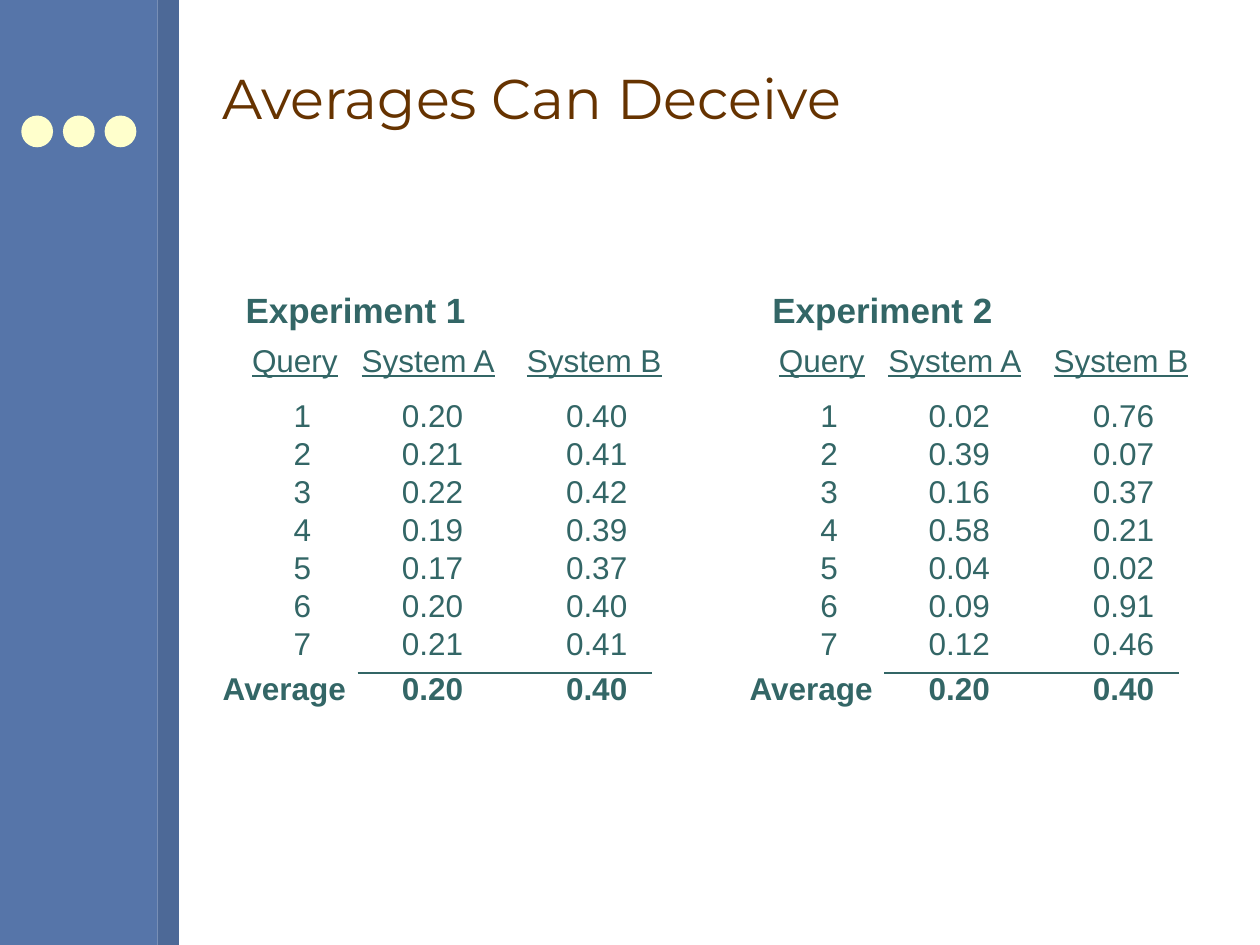
from dataclasses import dataclass
from typing import NamedTuple

from lxml.etree import SubElement
from pptx import Presentation
from pptx.dml.color import RGBColor
from pptx.enum.shapes import MSO_CONNECTOR as Connector, MSO_SHAPE as Shape
from pptx.enum.text import MSO_ANCHOR as Anchor
from pptx.oxml.ns import qn
from pptx.util import Cm, Pt


@dataclass(frozen=True)
class Theme:
    sidebar: str = "5675A9"
    stripe: str = "4D6997"
    dot: str = "FFFFCC"
    title: str = "663300"
    body: str = "336666"
    title_font: str = "Montserrat"
    body_font: str = "Arial"
    title_size: int = 32
    heading_size: int = 20
    body_size: int = 18
    rule_width: float = 1


class Box(NamedTuple):
    left: float
    top: float
    width: float
    height: float

    def lengths(self):
        return [Cm(value) for value in self]


class RowStyle(NamedTuple):
    height: float
    indents: tuple
    bold: bool = False
    underline: bool = False


THEME = Theme()
COLUMN_WIDTHS = (2.97, 3.18, 3.23)
HEADER = RowStyle(1.27, (0.84, 0.08, 0.23), underline=True)
VALUE = RowStyle(0.76, (1.68, 0.89, 1.02))
AVERAGE = RowStyle(1.07, (0.25, 0.89, 1.02), bold=True)

EXPERIMENTS = {
    "Experiment 1": (
        ("0.20", "0.21", "0.22", "0.19", "0.17", "0.20", "0.21"),
        ("0.40", "0.41", "0.42", "0.39", "0.37", "0.40", "0.41"),
    ),
    "Experiment 2": (
        ("0.02", "0.39", "0.16", "0.58", "0.04", "0.09", "0.12"),
        ("0.76", "0.07", "0.37", "0.21", "0.02", "0.91", "0.46"),
    ),
}
AVERAGES = ("Average", "0.20", "0.40")


def write(text_frame, text, font, size, color, bold=False, underline=False):
    text_frame.text = text
    for span in text_frame.paragraphs[0].runs:
        span.font.name = font
        span.font.size = Pt(size)
        span.font.color.rgb = RGBColor.from_string(color)
        span.font.bold = bold
        span.font.underline = underline


def add_text(page, box, *style, **emphasis):
    text_frame = page.shapes.add_textbox(*box.lengths()).text_frame
    text_frame.word_wrap = True
    text_frame.vertical_anchor = Anchor.MIDDLE
    write(text_frame, *style, **emphasis)


def add_filled(page, kind, box, color):
    shape = page.shapes.add_shape(kind, *box.lengths())
    shape.shadow.inherit = False
    shape.fill.solid()
    shape.fill.fore_color.rgb = RGBColor.from_string(color)
    shape.line.fill.background()


def add_rule(page, left, top, width):
    rule = page.shapes.add_connector(
        Connector.STRAIGHT, Cm(left), Cm(top), Cm(left + width), Cm(top))
    rule.line.color.rgb = RGBColor.from_string(THEME.body)
    rule.line.width = Pt(THEME.rule_width)
    SubElement(rule.element.spPr, qn("a:effectLst"))


def add_sidebar(page, box):
    stripe_width = 0.43
    panel_width = box.width - stripe_width
    add_filled(page, Shape.RECTANGLE, box._replace(width=panel_width), THEME.sidebar)
    stripe = box._replace(left=box.left + panel_width, width=stripe_width)
    add_filled(page, Shape.RECTANGLE, stripe, THEME.stripe)
    for index in range(3):
        dot = Box(box.left + 0.43 + 0.84 * index, box.top + 2.33, 0.64, 0.64)
        add_filled(page, Shape.OVAL, dot, THEME.dot)


def add_title(page, box, text):
    add_text(page, box, text, THEME.title_font, THEME.title_size, THEME.title)


def add_results_table(page, box, rows):
    table = page.shapes.add_table(
        len(rows), len(COLUMN_WIDTHS), *box.lengths()).table
    table.first_row = False
    table.horz_banding = False
    for column, width in zip(table.columns, COLUMN_WIDTHS):
        column.width = Cm(width)
    for row, (style, texts) in zip(table.rows, rows):
        row.height = Cm(style.height)
        for cell, text, indent in zip(row.cells, texts, style.indents):
            cell.fill.background()
            cell.margin_left = Cm(indent)
            cell.margin_right = cell.margin_bottom = 0
            cell.margin_top = Cm(0 if style is VALUE else 0.15)
            cell.vertical_anchor = Anchor.TOP
            write(cell.text_frame, text, THEME.body_font, THEME.body_size,
                  THEME.body, style.bold, style.underline)


def add_experiment(page, box, name, system_a, system_b):
    heading = Box(box.left + 0.46, box.top, 4.95, 1.09)
    add_text(page, heading, name, THEME.body_font, THEME.heading_size,
             THEME.body, bold=True)
    rows = [(HEADER, ("Query", "System A", "System B"))]
    for query, scores in enumerate(zip(system_a, system_b), start=1):
        rows.append((VALUE, (str(query), *scores)))
    rows.append((AVERAGE, AVERAGES))
    results = Box(box.left, box.top + 1.09, box.width, box.height - 1.09)
    add_results_table(page, results, rows)
    add_rule(page, box.left + COLUMN_WIDTHS[0], box.top + 7.88, 5.94)


def main():
    deck = Presentation()
    deck.slide_width, deck.slide_height = Cm(25.4), Cm(19.05)
    page = deck.slides.add_slide(deck.slide_layouts[6])
    add_sidebar(page, Box(0, 0, 3.61, 19.05))
    add_title(page, Box(4.24, 0.53, 20.32, 2.87), "Averages Can Deceive")
    for index, (name, systems) in enumerate(EXPERIMENTS.items()):
        box = Box(4.24 + 10.62 * index, 5.69, sum(COLUMN_WIDTHS), 8.75)
        add_experiment(page, box, name, *systems)
    deck.save("out.pptx")


if __name__ == "__main__":
    main()
